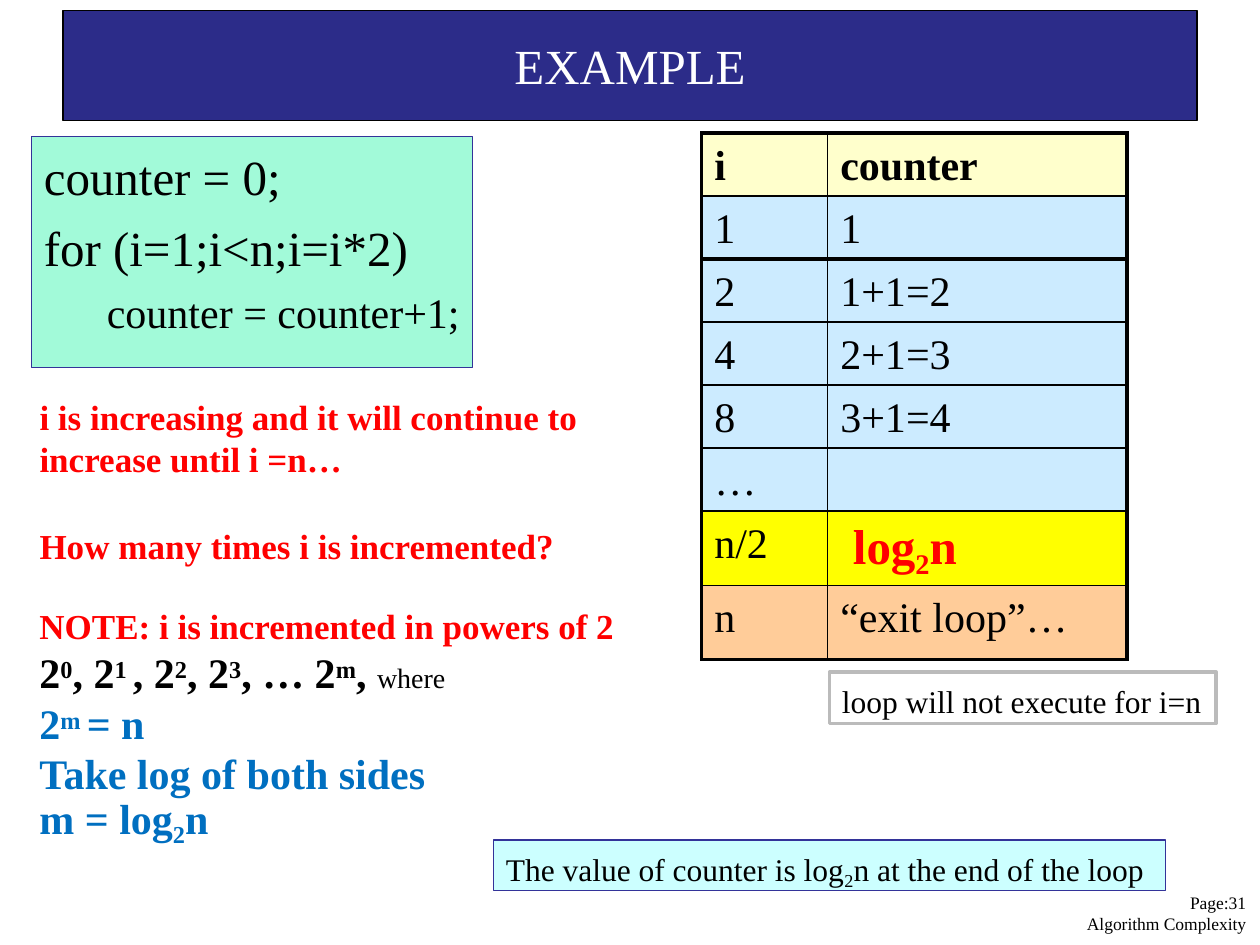
from lxml import etree
from pptx import Presentation
from pptx.dml.color import RGBColor
from pptx.enum.shapes import MSO_SHAPE
from pptx.enum.text import MSO_ANCHOR, PP_ALIGN
from pptx.oxml.ns import qn
from pptx.util import Pt

RECT = MSO_SHAPE.RECTANGLE
TOP = MSO_ANCHOR.TOP
LEFT, CENTER, RIGHT = PP_ALIGN.LEFT, PP_ALIGN.CENTER, PP_ALIGN.RIGHT

FONT = "Times New Roman"
BLACK = RGBColor(0x00, 0x00, 0x00)
WHITE = RGBColor(0xFF, 0xFF, 0xFF)
RED = RGBColor(0xFF, 0x00, 0x00)
BLUE = RGBColor(0x00, 0x6F, 0xC0)
NAVY = RGBColor(0x2C, 0x2C, 0x89)
INDIGO = RGBColor(0x33, 0x33, 0x99)
GREY = RGBColor(0xBB, 0xBB, 0xBB)
MINT = RGBColor(0xA2, 0xFA, 0xD9)
AQUA = RGBColor(0xCC, 0xFF, 0xFF)
CREAM = RGBColor(0xFF, 0xFF, 0xCC)
SKY = RGBColor(0xCC, 0xEB, 0xFF)
YELLOW = RGBColor(0xFF, 0xFF, 0x00)
PEACH = RGBColor(0xFF, 0xCC, 0x99)
SUB, SUPER = -21000, 24000


def write(p, text, size, color=BLACK, bold=False, shift=SUB, align=LEFT):
    """Fill a paragraph; text between ~ marks is raised or lowered by shift."""
    p.alignment = align
    for i, part in enumerate(text.split("~")):
        r = p.add_run()
        r.text = part
        r.font.name, r.font.size, r.font.bold = FONT, Pt(size), bold
        r.font.color.rgb = color
        if i % 2:
            r._r.get_or_add_rPr().set("baseline", str(shift))


def frame(sp, left=0, top=0):
    """Set the insets of a shape and return its text frame."""
    tf = sp.text_frame
    tf.word_wrap = True
    tf.vertical_anchor = TOP
    tf.margin_left, tf.margin_top = Pt(left), Pt(top)
    tf.margin_right = tf.margin_bottom = 0
    return tf


prs = Presentation()
prs.slide_width, prs.slide_height = Pt(720), Pt(540)
s = prs.slides.add_slide(prs.slide_layouts[5])

# Footer
tf = frame(s.shapes.add_textbox(Pt(620.6), Pt(510), Pt(91.5), Pt(25)))
for i, text in enumerate(["Page:31", "Algorithm Complexity"]):
    p = tf.add_paragraph() if i else tf.paragraphs[0]
    p.line_spacing = Pt(12)
    write(p, text, 10, align=RIGHT)

# Title
title = s.shapes.title
title.left, title.top, title.width, title.height = Pt(36), Pt(6), Pt(648), Pt(63)
title.fill.solid()
title.fill.fore_color.rgb = NAVY
title.line.color.rgb = BLACK
title.line.width = Pt(0.75)
write(frame(title, top=14).paragraphs[0], "EXAMPLE", 28, WHITE, align=CENTER)

# Trace table
rows = [
    ("i", "counter", CREAM), ("1", "1", SKY), ("2", "1+1=2", SKY),
    ("4", "2+1=3", SKY), ("8", "3+1=4", SKY), ("…", "", SKY),
    ("n/2", "log~2~n", YELLOW), ("n", "“exit loop”…", PEACH),
]
heights = [36] * 6 + [41, 42]
table = s.shapes.add_table(len(rows), 2, Pt(401), Pt(76), Pt(243),
                           Pt(sum(heights))).table
table.columns[0].width, table.columns[1].width = Pt(72), Pt(171)
last = len(rows) - 1
for i, (*texts, fill) in enumerate(rows):
    table.rows[i].height = Pt(heights[i])
    for j, text in enumerate(texts):
        cell = table.cell(i, j)
        result = "~" in text
        cell.margin_left = Pt(14.4 if result else 7.2)
        cell.margin_top = Pt(5.6)
        cell.margin_right = cell.margin_bottom = 0
        cell.fill.solid()
        cell.fill.fore_color.rgb = fill
        if text:
            write(cell.text_frame.paragraphs[0], text, 28 if result else 24,
                  RED if result else BLACK, result or i == 0)
        # Heavy outer frame and a heavy rule below the first data row
        heavy = {"lnL": j == 0, "lnR": j == 1,
                 "lnT": i in (0, 2), "lnB": i in (1, last)}
        tcPr = cell._tc.get_or_add_tcPr()
        for k, (tag, thick) in enumerate(heavy.items()):
            ln = etree.Element(qn("a:" + tag), w=str(Pt(2.25 if thick else 1)))
            solid = etree.SubElement(ln, qn("a:solidFill"))
            etree.SubElement(solid, qn("a:srgbClr"), val=str(BLACK))
            tcPr.insert(k, ln)

# Framed boxes: code, remark on the exit row, conclusion
boxes = [
    (18, 78, 252, 132, MINT, INDIGO, 0.75,
     [("counter = 0;", 28, 0, 0), ("for (i=1;i<n;i=i*2)", 28, 6.8, 0),
      ("counter = counter+1;", 24, 5.9, 36)]),
    (474, 384, 221, 29.5, None, GREY, 2,
     [("loop will not execute for i=n", 18, 0, 0)]),
    (282, 480, 384, 29, AQUA, INDIGO, 0.75,
     [("The value of counter is log~2~n at the end of the loop", 18, 0, 0)]),
]
for x, y, w, h, fill, line, weight, lines in boxes:
    sp = s.shapes.add_shape(RECT, Pt(x), Pt(y), Pt(w), Pt(h))
    sp.shadow.inherit = False
    if fill is None:
        sp.fill.background()
    else:
        sp.fill.solid()
        sp.fill.fore_color.rgb = fill
    sp.line.color.rgb = line
    sp.line.width = Pt(weight)
    tf = frame(sp, 7.2, 5.6)
    for i, (text, size, before, indent) in enumerate(lines):
        p = tf.add_paragraph() if i else tf.paragraphs[0]
        p.space_before = Pt(before)
        p._p.get_or_add_pPr().set("marL", str(Pt(indent)))
        write(p, text, size)

# Question
tf = frame(s.shapes.add_textbox(Pt(21.6), Pt(224), Pt(312), Pt(98)), 1, 2)
write(tf.paragraphs[0],
      "i is increasing and it will continue to increase until i =n…",
      20, RED, True)
p = tf.add_paragraph()
p.space_before = Pt(25.5)
write(p, "How many times i is incremented?", 20, RED, True)

# Derivation
derivation = [
    ("NOTE: i is incremented in powers of 2", 20, RED, SUPER),
    ("2~0~, 2~1 ~, 2~2~, 2~3~, … 2~m~, ", 24, BLACK, SUPER),
    ("2~m ~= n", 24, BLUE, SUPER),
    ("Take log of both sides", 24, BLUE, SUPER),
    ("m = log~2~n", 24, BLUE, SUB),
]
tf = frame(s.shapes.add_textbox(Pt(19.5), Pt(344), Pt(336), Pt(142)), 3, 1.5)
for i, (text, size, color, shift) in enumerate(derivation):
    p = tf.add_paragraph() if i else tf.paragraphs[0]
    p.line_spacing = Pt(size * 1.2)
    write(p, text, size, color, True, shift)
write(tf.paragraphs[1], "where", 16)

prs.save("out.pptx")
